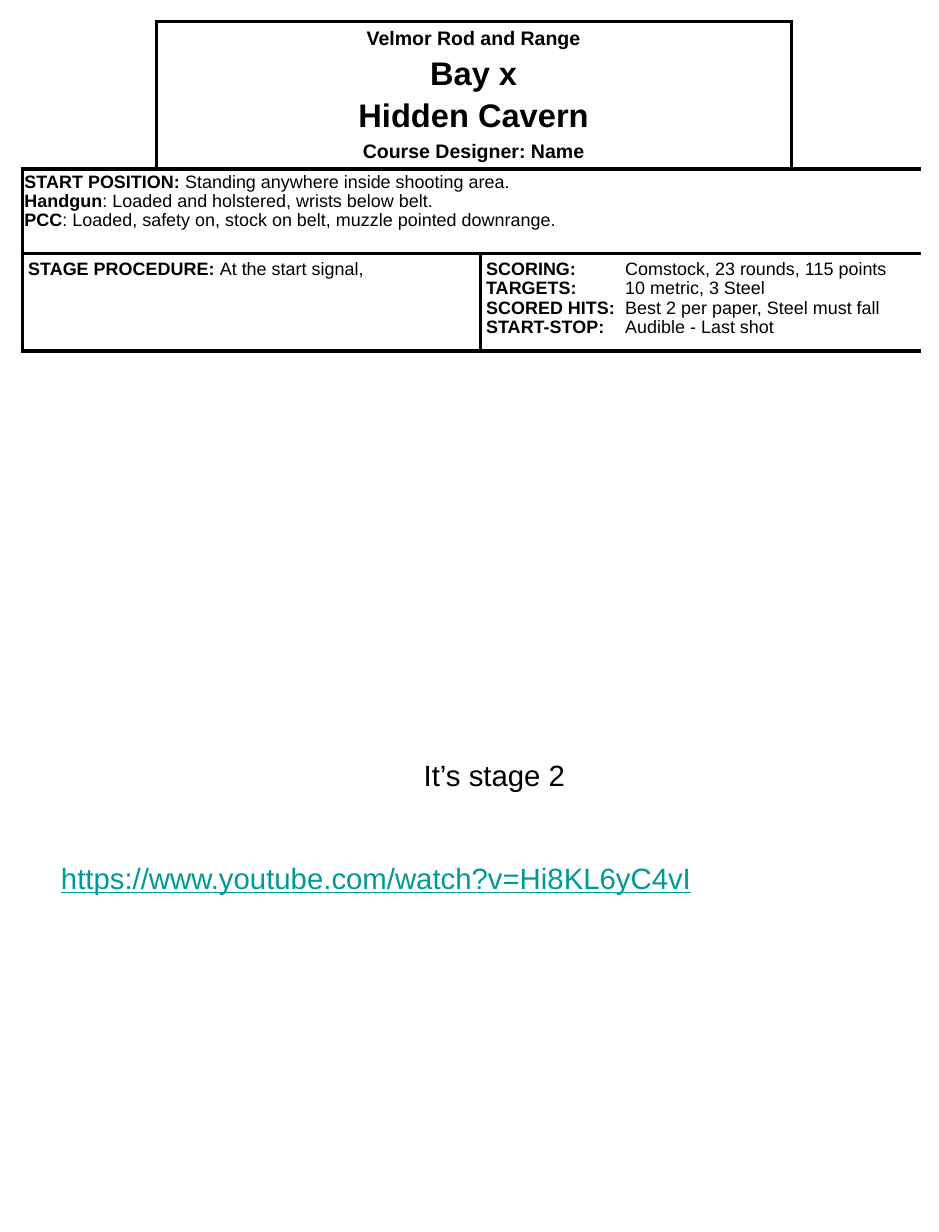
from dataclasses import dataclass

from lxml.etree import SubElement
from pptx import Presentation
from pptx.dml.color import RGBColor
from pptx.enum.text import MSO_ANCHOR, PP_ALIGN
from pptx.oxml.ns import qn
from pptx.util import Cm, Pt

COLORS = {"ink": "000000", "paper": "FFFFFF", "link": "009999"}
FONT = "Arial"
BORDER = Pt(2.25)
VALUE_TAB = Cm(3.01)


@dataclass(frozen=True)
class Line:
    label: str
    value: str = ""
    size: float = 11
    before: float = 0
    spacing: float = 1.0
    tab: bool = False


@dataclass(frozen=True)
class Section:
    row: int
    first: int
    last: int
    lines: tuple[Line, ...]
    side_inset: float = 0.13
    top_inset: float = 0.13
    centered: bool = False


@dataclass(frozen=True)
class Note:
    left: float
    top: float
    width: float
    height: float
    text: str
    color: str = "ink"
    underline: bool = False


COLUMN_WIDTHS = (2.9, 7.01, 6.73, 2.79)
ROW_HEIGHTS = (3.2, 1.83, 2.11)

SCORING = (
    ("SCORING:", "Comstock, 23 rounds, 115 points"),
    ("TARGETS:", "10 metric, 3 Steel"),
    ("SCORED HITS:", "Best 2 per paper, Steel must fall"),
    ("START-STOP:", "Audible - Last shot"),
)
START = (
    ("START POSITION: ", "Standing anywhere inside shooting area."),
    ("Handgun", ": Loaded and holstered, wrists below belt."),
    ("PCC", ": Loaded, safety on, stock on belt, muzzle pointed downrange."),
)


def tight_lines(pairs: tuple, tab: bool = False) -> tuple[Line, ...]:
    return tuple(Line(label, value, before=0.7 if i else 0, spacing=0.9, tab=tab)
                 for i, (label, value) in enumerate(pairs))


SECTIONS = (
    Section(0, 1, 2, (
        Line("Velmor Rod and Range", size=12),
        Line("Bay x", size=20, before=3.5),
        Line("Hidden Cavern", size=20, before=3.5),
        Line("Course Designer: Name", size=12, before=4),
    ), top_inset=0.08, centered=True),
    Section(1, 0, 3, tight_lines(START), side_inset=0.05, top_inset=0.1),
    Section(2, 0, 1, (Line("STAGE PROCEDURE: ", "At the start signal,"),)),
    Section(2, 2, 3, tight_lines(SCORING, tab=True), top_inset=0.17),
)

NOTES = (
    Note(8.92, 16.26, 3.61, 1.02, "It’s stage 2"),
    Note(1.07, 18.49, 14.27, 1.8, "https://www.youtube.com/watch?v=Hi8KL6yC4vI",
         "link", True),
)


def style_font(font, size: float, color: str = "ink", bold: bool = False) -> None:
    font.name = FONT
    font.size = Pt(size)
    font.bold = bold
    font.color.rgb = RGBColor.from_string(COLORS[color])


def set_borders(cell, sides: str) -> None:
    properties = cell._tc.get_or_add_tcPr()
    # Borders must come before the fill, in the order L, R, T, B
    for position, side in enumerate(s for s in "LRTB" if s in sides):
        border = SubElement(properties, qn(f"a:ln{side}"), w=str(BORDER))
        fill = SubElement(border, qn("a:solidFill"))
        SubElement(fill, qn("a:srgbClr"), val=COLORS["ink"])
        properties.insert(position, border)


def write_line(paragraph, line: Line, centered: bool) -> None:
    paragraph.alignment = PP_ALIGN.CENTER if centered else PP_ALIGN.LEFT
    paragraph.line_spacing = line.spacing
    paragraph.space_before = Pt(line.before)
    if line.tab:
        tabs = SubElement(paragraph._p.get_or_add_pPr(), qn("a:tabLst"))
        SubElement(tabs, qn("a:tab"), pos=str(VALUE_TAB), algn="l")
    value = "\t" + line.value if line.tab else line.value
    for text, bold in ((line.label, True), (value, False)):
        if text:
            run = paragraph.add_run()
            run.text = text
            style_font(run.font, line.size, bold=bold)


def fill_section(table, section: Section) -> None:
    cell = table.cell(section.row, section.first)
    cell.merge(table.cell(section.row, section.last))
    for column in range(section.first, section.last + 1):
        sides = "TB"
        sides += "L" if column == section.first else ""
        sides += "R" if column == section.last else ""
        set_borders(table.cell(section.row, column), sides)
    cell.margin_left = cell.margin_right = Cm(section.side_inset)
    cell.margin_top = cell.margin_bottom = Cm(section.top_inset)
    cell.vertical_anchor = MSO_ANCHOR.MIDDLE if section.centered else MSO_ANCHOR.TOP
    frame = cell.text_frame
    for i, line in enumerate(section.lines):
        paragraph = frame.add_paragraph() if i else frame.paragraphs[0]
        write_line(paragraph, line, section.centered)


def add_briefing(slide) -> None:
    table = slide.shapes.add_table(
        len(ROW_HEIGHTS), len(COLUMN_WIDTHS), Cm(0.48), Cm(0.46),
        Cm(sum(COLUMN_WIDTHS)), Cm(sum(ROW_HEIGHTS))).table
    table.first_row = table.horz_banding = False
    for column, width in zip(table.columns, COLUMN_WIDTHS):
        column.width = Cm(width)
    for row, height in zip(table.rows, ROW_HEIGHTS):
        row.height = Cm(height)
    for cell in table.iter_cells():
        cell.fill.solid()
        cell.fill.fore_color.rgb = RGBColor.from_string(COLORS["paper"])
    for section in SECTIONS:
        fill_section(table, section)
    # The empty corners only border the heading and the row below
    set_borders(table.cell(0, 0), "RB")
    set_borders(table.cell(0, 3), "LB")


def add_note(slide, note: Note) -> None:
    box = slide.shapes.add_textbox(
        Cm(note.left), Cm(note.top), Cm(note.width), Cm(note.height))
    box.text_frame.word_wrap = False
    box.text_frame.text = note.text
    font = box.text_frame.paragraphs[0].runs[0].font
    style_font(font, 18, note.color)
    font.underline = note.underline


def main() -> None:
    presentation = Presentation()
    presentation.slide_width = Cm(20.32)
    presentation.slide_height = Cm(26.67)
    slide = presentation.slides.add_slide(presentation.slide_layouts[6])

    # Stage briefing
    add_briefing(slide)

    # Notes below the briefing
    for note in NOTES:
        add_note(slide, note)

    presentation.save("out.pptx")


if __name__ == "__main__":
    main()
